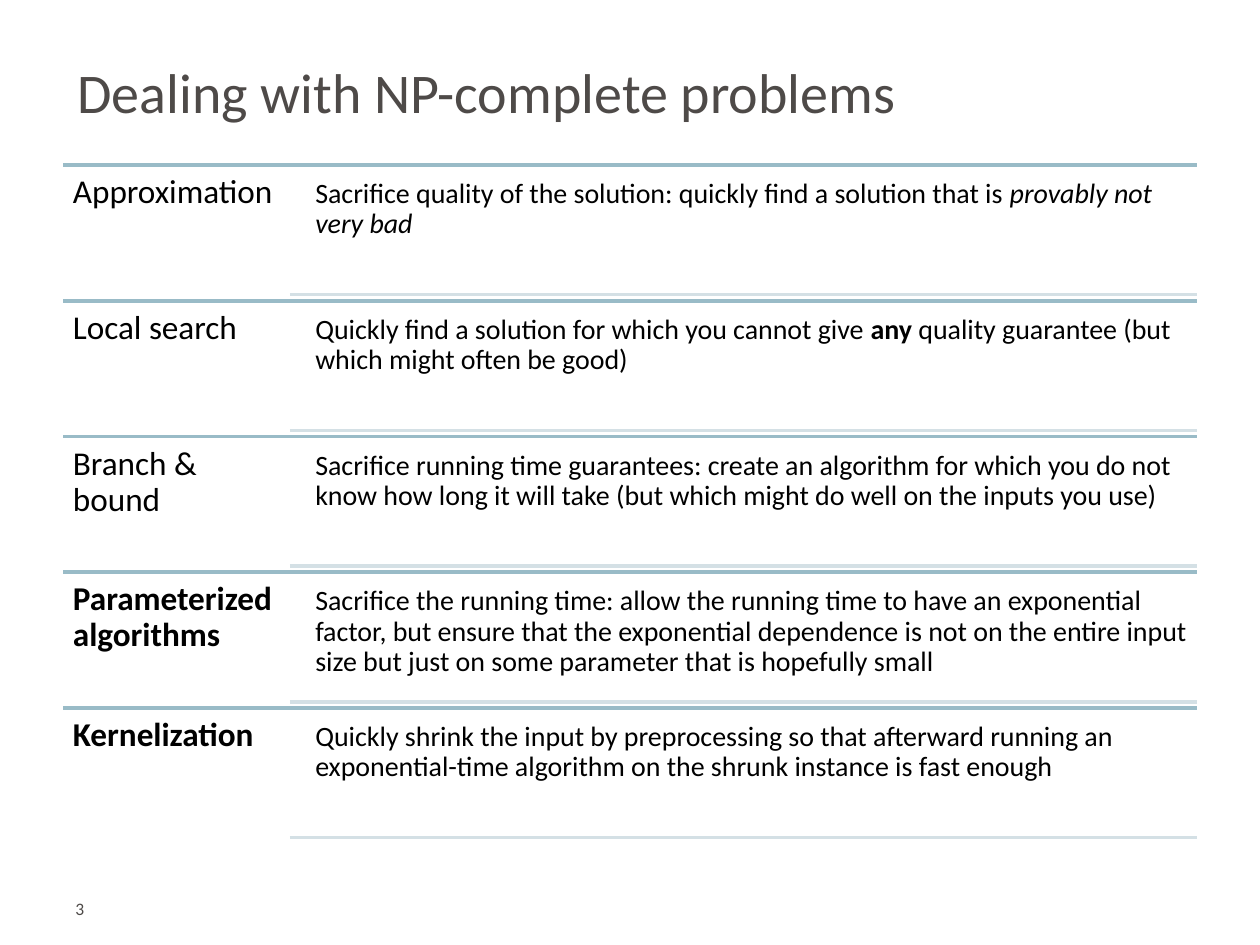
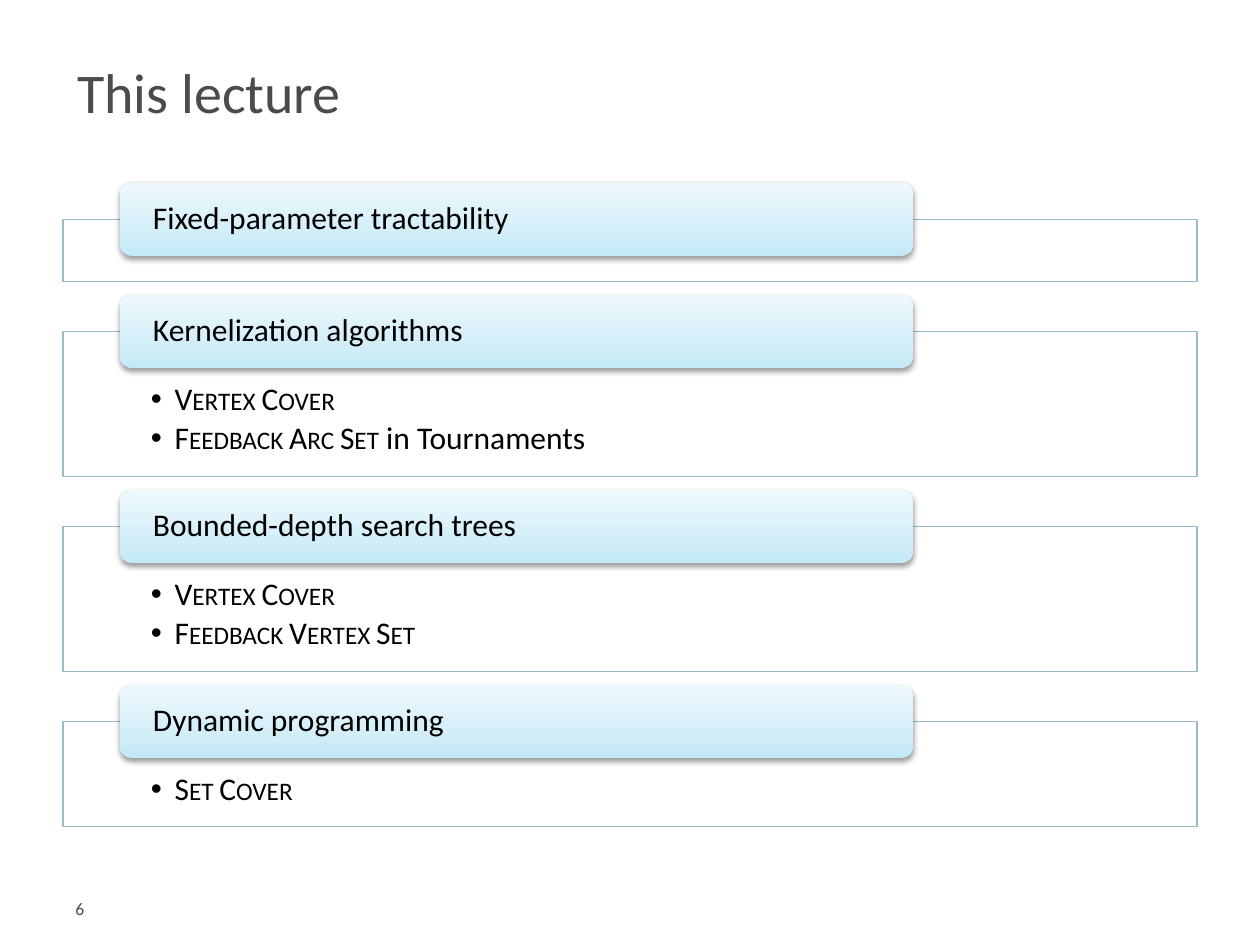
from copy import deepcopy
from dataclasses import dataclass

from lxml.etree import SubElement
from pptx import Presentation
from pptx.dml.color import RGBColor
from pptx.enum.shapes import MSO_CONNECTOR, MSO_SHAPE
from pptx.enum.text import MSO_ANCHOR, PP_ALIGN
from pptx.oxml.ns import qn
from pptx.slide import Slide
from pptx.text.text import TextFrame, _Paragraph
from pptx.util import Pt

FONT = "Calibri"
INK = "000000"
GRAY = "4E4A48"
WHITE = "FFFFFF"
TEAL = "99BBC7"
PALE = "D4E0E5"
GRADE = ((0, "C3E8F6"), (0.35, "D4EEF8"), (1, "EEF9FD"))

LEFT, WIDE = 36, 648
TOP, PITCH, INSET = 94.35, 77.55, 3.5
SPLIT, BODY = 165.6, 175.4
FIRST, GAP, TAG = 125.3, 28.6, 41.8


@dataclass(frozen=True)
class Run:
    text: str
    bold: bool = False
    slant: bool = False
    caps: bool = False


@dataclass(frozen=True)
class Box:
    x: float
    y: float
    w: float
    h: float

    def place(self) -> tuple[Pt, Pt, Pt, Pt]:
        return Pt(self.x), Pt(self.y), Pt(self.w), Pt(self.h)


@dataclass(frozen=True)
class Row:
    name: Run
    body: tuple[Run, ...]


@dataclass(frozen=True)
class Topic:
    name: str
    high: float
    items: tuple[tuple[Run, ...], ...] = ()


ROWS = (
    Row(Run("Approximation"), (
        Run("Sacrifice quality of the solution: quickly find a solution that is "),
        Run("provably not very bad", slant=True))),
    Row(Run("Local search"), (
        Run("Quickly find a solution for which you cannot give "),
        Run("any ", bold=True),
        Run("quality guarantee (but which might often be good)"))),
    Row(Run("Branch & bound"), (
        Run("Sacrifice running time guarantees: create an algorithm for which you do "
            "not know how long it will take (but which might do well on the inputs "
            "you use)"),)),
    Row(Run("Parameterized algorithms", bold=True), (
        Run("Sacrifice the running time: allow the running time to have an "
            "exponential factor, but ensure that the exponential dependence is not "
            "on the entire input size but just on some parameter that is hopefully "
            "small"),)),
    Row(Run("Kernelization", bold=True), (
        Run("Quickly shrink the input by preprocessing so that afterward running an "
            "exponential-time algorithm on the shrunk instance is fast enough"),)),
)

COVER = (Run("Vertex Cover", caps=True),)
TOPICS = (
    Topic("Fixed-parameter tractability", 35.5),
    Topic("Kernelization algorithms", 82.8, (
        COVER, (Run("Feedback Arc Set", caps=True), Run(" in Tournaments")))),
    Topic("Bounded-depth search trees", 82.8, (
        COVER, (Run("Feedback Vertex Set", caps=True),))),
    Topic("Dynamic programming", 60.3, ((Run("Set Cover", caps=True),),)),
)


def tint(code: str) -> RGBColor:
    return RGBColor.from_string(code)


def frame(area: TextFrame, pads: tuple[float, float, float, float],
          anchor: MSO_ANCHOR = MSO_ANCHOR.TOP) -> TextFrame:
    area.word_wrap = True
    area.vertical_anchor = anchor
    area.margin_left, area.margin_top, area.margin_right, area.margin_bottom = map(Pt, pads)
    return area


def write(para: _Paragraph, runs: tuple[Run, ...], size: float,
          color: str = INK, line: float = 0.9) -> None:
    para.alignment = PP_ALIGN.LEFT
    para.line_spacing = line
    for part in runs:
        run = para.add_run()
        run.text = part.text
        font = run.font
        font.name, font.size = FONT, Pt(size)
        font.bold, font.italic = part.bold, part.slant
        font.color.rgb = tint(color)
        if part.caps:
            font._element.set("cap", "small")


def label(slide: Slide, box: Box, runs: tuple[Run, ...], size: float,
          pads: tuple[float, float, float, float],
          anchor: MSO_ANCHOR = MSO_ANCHOR.TOP) -> None:
    area = frame(slide.shapes.add_textbox(*box.place()).text_frame, pads, anchor)
    write(area.paragraphs[0], runs, size, GRAY, 1)


def cell(slide: Slide, box: Box, runs: tuple[Run, ...], size: float, pad: float) -> None:
    x, y, w, h = box.place()
    pen = slide.shapes.build_freeform(x, y)
    pen.add_line_segments(((x + w, y), (x + w, y + h), (x, y + h)), close=True)
    shape = pen.convert_to_shape()
    shape.shadow.inherit = False
    shape.fill.background()
    shape.line.fill.background()
    area = frame(shape.text_frame, (pad,) * 4)
    write(area.paragraphs[0], runs, size)


def rule(slide: Slide, x: float, y: float, color: str) -> None:
    line = slide.shapes.add_connector(
        MSO_CONNECTOR.STRAIGHT, Pt(x), Pt(y), Pt(LEFT + WIDE), Pt(y))
    line.line.color.rgb = tint(color)
    line.line.width = Pt(2)
    SubElement(line._element.spPr, qn("a:effectLst"))


def panel(slide: Slide, box: Box, items: tuple[tuple[Run, ...], ...]) -> None:
    shape = slide.shapes.add_shape(MSO_SHAPE.RECTANGLE, *box.place())
    shape.shadow.inherit = False
    shape.fill.solid()
    shape.fill.fore_color.rgb = tint(WHITE)
    color = shape._element.spPr.find(".//" + qn("a:srgbClr"))
    SubElement(color, qn("a:alpha"), val="90000")
    shape.line.color.rgb = tint(TEAL)
    shape.line.width = Pt(0.75)
    area = frame(shape.text_frame, (50.3, 29.5, 50.3, 10))
    for num, runs in enumerate(items):
        para = area.add_paragraph() if num else area.paragraphs[0]
        para.level = 1
        para.space_after = Pt(2.9)
        props = para._p.get_or_add_pPr()
        props.set("marL", str(Pt(13.5)))
        props.set("indent", str(-Pt(13.5)))
        write(para, runs, 18)
        SubElement(props, qn("a:buFont"), typeface="Arial")
        SubElement(props, qn("a:buChar"), char="•")


def tag(slide: Slide, box: Box, name: str) -> None:
    shape = slide.shapes.add_shape(MSO_SHAPE.ROUNDED_RECTANGLE, *box.place())
    shape.line.fill.background()
    fill = shape.fill
    fill.gradient()
    fill.gradient_angle = 90
    props = shape._element.spPr
    stops = props.find(".//" + qn("a:gsLst"))
    stops.insert(1, deepcopy(stops[0]))
    for stop, (spot, color) in zip(fill.gradient_stops, GRADE):
        stop.position = spot
        stop.color.rgb = tint(color)
    shape.shadow.inherit = False
    shade = SubElement(props.find(qn("a:effectLst")), qn("a:outerShdw"),
                       blurRad=str(Pt(3.1)), dist=str(Pt(1.6)),
                       dir="5400000", rotWithShape="0")
    black = SubElement(shade, qn("a:srgbClr"), val=INK)
    SubElement(black, qn("a:alpha"), val="38000")
    area = frame(shape.text_frame, (17, 0, 17, 0), MSO_ANCHOR.MIDDLE)
    write(area.paragraphs[0], (Run(name),), 18)


def start(deck: Presentation, title: str, page: int) -> Slide:
    slide = deck.slides.add_slide(deck.slide_layouts[6])
    label(slide, Box(37.1, 27.4, WIDE, 49.7), (Run(title),), 32,
          (7.2, 3.6, 7.2, 3.6), MSO_ANCHOR.MIDDLE)
    label(slide, Box(LEFT, 513.4, 154, 21.6), (Run(str(page)),), 10,
          (7.2, 0, 7.2, 3.6))
    return slide


def methods(deck: Presentation) -> None:
    slide = start(deck, "Dealing with NP-complete problems", 3)
    for num, row in enumerate(ROWS):
        y = TOP + num * PITCH
        rule(slide, LEFT, y, TEAL)
        cell(slide, Box(LEFT, y, SPLIT - LEFT, PITCH), (row.name,), 19, 5.7)
        cell(slide, Box(BODY, y + INSET, 509, PITCH - 2 * INSET), row.body, 16, 4.8)
        rule(slide, SPLIT, y + PITCH - INSET, PALE)


def topics(deck: Presentation) -> None:
    slide = start(deck, "This lecture", 6)
    y = FIRST
    for topic in TOPICS:
        panel(slide, Box(LEFT, y, WIDE, topic.high), topic.items)
        tag(slide, Box(68.4, y - TAG / 2, 453.6, TAG), topic.name)
        y += topic.high + GAP


def main() -> None:
    deck = Presentation()
    deck.slide_width, deck.slide_height = Pt(720), Pt(540)
    methods(deck)
    topics(deck)
    deck.save("out.pptx")


if __name__ == "__main__":
    main()
